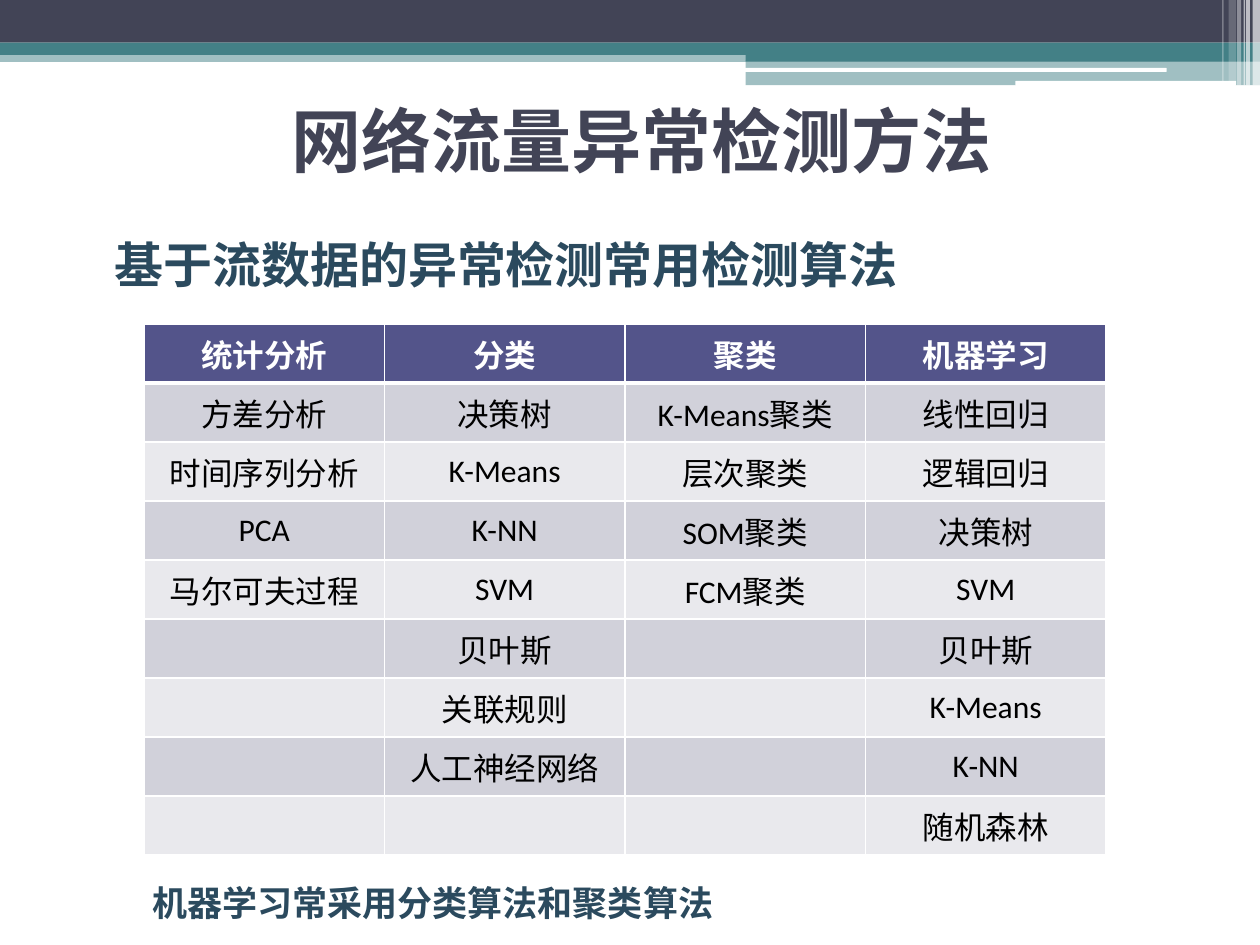
from dataclasses import dataclass
from itertools import zip_longest

from lxml import etree
from pptx import Presentation
from pptx import util as u
from pptx.dml.color import RGBColor
from pptx.enum import shapes, text
from pptx.oxml.ns import qn


@dataclass(frozen=True)
class Theme:
    dark: str = "424456"
    teal: str = "438086"
    white: str = "FFFFFF"
    black: str = "000000"
    ink: str = "2B4A5E"
    header: str = "53548A"
    bands: tuple = ("D1D1DA", "E9E9ED")
    title_size: int = 40
    heading_size: int = 28
    note_size: int = 20
    cell_size: int = 18


class Deck:
    def __init__(self, theme, width, height):
        self.theme = theme
        self.prs = Presentation()
        self.prs.slide_width, self.prs.slide_height = u.Cm(width), u.Cm(height)
        self.s = self.prs.slides.add_slide(self.prs.slide_layouts[6])

    def fill(self, target, color, alpha=100):
        target.fill.solid()
        target.fill.fore_color.rgb = RGBColor.from_string(color)
        if alpha < 100:
            clr = target.fill._xPr.find(qn("a:solidFill"))[0]
            etree.SubElement(clr, qn("a:alpha"), val=str(alpha * 1000))

    def bar(self, box, color, alpha=100, rounded=False):
        kind = shapes.MSO_SHAPE.ROUNDED_RECTANGLE if rounded else shapes.MSO_SHAPE.RECTANGLE
        sp = self.s.shapes.add_shape(kind, *map(u.Cm, box))
        sp.shadow.inherit = False
        sp.line.fill.background()
        self.fill(sp, color, alpha)

    def add_text(self, tf, content, font, size, color, bold=False, align=text.PP_ALIGN.LEFT):
        p = tf.paragraphs[0]
        p.alignment = align
        r = p.add_run()
        r.text = content
        for name, value in {"name": font, "size": u.Pt(size), "bold": bold}.items():
            setattr(r.font, name, value)
        r.font.color.rgb = RGBColor.from_string(color)

    def label(self, box, content, font, size, color, align=text.PP_ALIGN.LEFT, **frame):
        tf = self.s.shapes.add_textbox(*map(u.Cm, box)).text_frame
        for name, value in {"word_wrap": True, **frame}.items():
            setattr(tf, name, value)
        self.add_text(tf, content, font, size, color, True, align)

    def borders(self, cell, widths):
        tc_pr = cell._tc.get_or_add_tcPr()
        for i, (side, width) in enumerate(widths.items()):
            ln = etree.Element(qn(f"a:ln{side}"), w=str(u.Pt(width)))
            solid = etree.SubElement(ln, qn("a:solidFill"))
            etree.SubElement(solid, qn("a:srgbClr"), val=self.theme.white)
            tc_pr.insert(i, ln)

    def table(self, left, top, col_width, row_height, columns):
        t = self.theme
        rows = list(zip_longest(*columns, fillvalue=""))
        n_rows, n_cols = len(rows), len(columns)
        tbl = self.s.shapes.add_table(n_rows, n_cols, u.Cm(left), u.Cm(top),
                                      u.Cm(col_width * n_cols), u.Cm(row_height * n_rows)).table
        for col in tbl.columns:
            col.width = u.Cm(col_width)
        for i, values in enumerate(rows):
            tbl.rows[i].height = u.Cm(row_height)
            head = i == 0
            for j, value in enumerate(values):
                cell = tbl.cell(i, j)
                cell.vertical_anchor = text.MSO_ANCHOR.MIDDLE
                self.fill(cell, t.header if head else t.bands[(i - 1) % 2])
                self.borders(cell, {"L": 1, "R": 1, "T": 3 if i == 1 else 1, "B": 3 if head else 1})
                if value:
                    self.add_text(cell.text_frame, value, "Calibri", t.cell_size,
                                  t.white if head else t.black, head, text.PP_ALIGN.CENTER)


def main():
    t = Theme()
    deck = Deck(t, 25.4, 19.05)

    for box, color, alpha in [
        ((0, 1.02, 25.4, 0.23), t.teal, 50),
        ((0, 0, 25.4, 0.86), t.dark, 100),
        ((0, 0.86, 25.4, 0.25), t.teal, 100),
        ((15.03, 0.99, 10.37, 0.25), t.teal, 100),
        ((15.03, 1.22, 10.37, 0.5), t.teal, 50),
    ]:
        deck.bar(box, color, alpha)
    for box in [(15.01, 1.37, 8.51, 0.08), (20.47, 1.63, 4.45, 0.1)]:
        deck.bar(box, t.white, rounded=True)
    for left, width, height, alpha in [
        (25.25, 0.15, 1.73, 65), (25.12, 0.08, 1.73, 65), (25.07, 0.03, 1.73, 60),
        (24.94, 0.08, 1.73, 40), (24.77, 0.15, 1.63, 20), (24.64, 0.03, 1.63, 30),
    ]:
        deck.bar((left, 0, width, height), t.white, alpha)

    deck.label((1.5, 1.32, 22.86, 2.97), "网络流量异常检测方法", "DejaVu Sans", t.title_size, t.dark,
               text.PP_ALIGN.CENTER, vertical_anchor=text.MSO_ANCHOR.MIDDLE)
    deck.table(2.9, 6.53, 4.85, 1.19, [
        ["统计分析", "方差分析", "时间序列分析", "PCA", "马尔可夫过程"],
        ["分类", "决策树", "K-Means", "K-NN", "SVM", "贝叶斯", "关联规则", "人工神经网络"],
        ["聚类", "K-Means聚类", "层次聚类", "SOM聚类", "FCM聚类"],
        ["机器学习", "线性回归", "逻辑回归", "决策树", "SVM", "贝叶斯", "K-Means", "K-NN", "随机森林"],
    ])
    deck.label((2.82, 17.65, 12.09, 1.12), "机器学习常采用分类算法和聚类算法", "Calibri",
               t.note_size, t.ink, auto_size=text.MSO_AUTO_SIZE.SHAPE_TO_FIT_TEXT)
    deck.label((1.75, 4.6, 21.89, 1.73), "基于流数据的异常检测常用检测算法", "Arial",
               t.heading_size, t.ink, margin_left=u.Cm(0.56))

    deck.prs.save("out.pptx")


if __name__ == "__main__":
    main()
